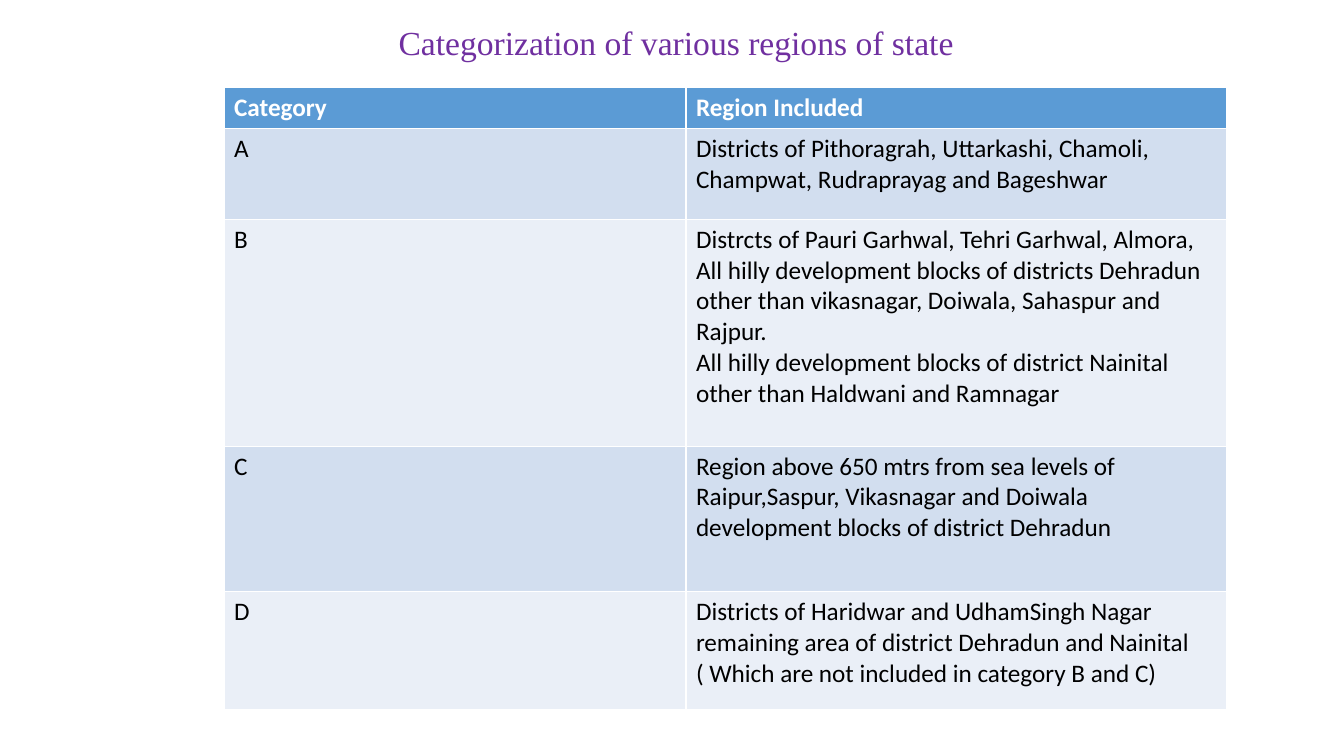
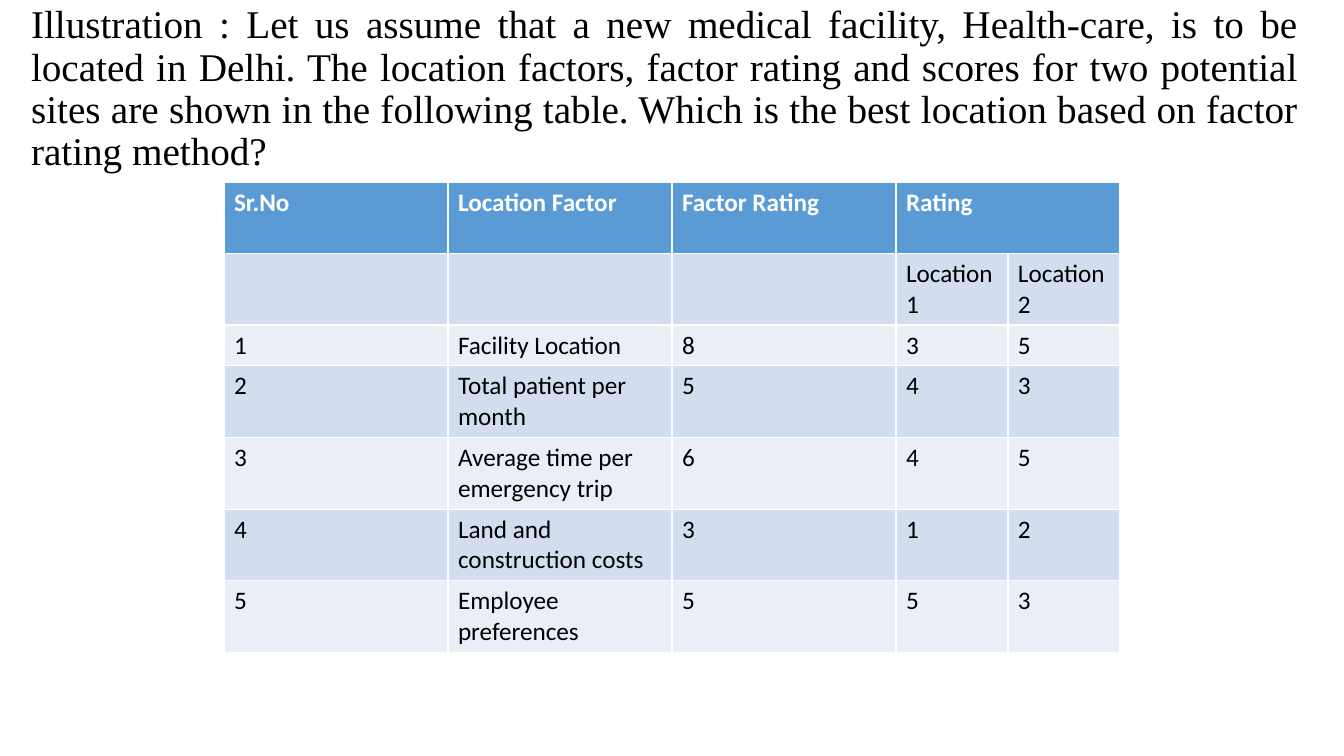
from pptx import Presentation
from pptx.dml.color import RGBColor
from pptx.enum import text
from pptx.oxml import xmlchemy
from pptx.util import Pt

HEADER_FILL = "5B9BD5"
BAND_FILLS = ("EAEFF7", "D2DEEF")
WHITE, BLACK, PURPLE = "FFFFFF", "000000", "7030A0"
TABLE_LEFT = 160


def color(value):
    return RGBColor.from_string(value)


class Deck:
    heading_font = "Times New Roman"
    table_font = "Calibri"
    table_size = 18

    def __init__(self):
        self.deck = Presentation()
        self.deck.slide_width = Pt(960)
        self.deck.slide_height = Pt(540)
        self.page = None

    def add_page(self):
        self.page = self.deck.slides.add_slide(self.deck.slide_layouts[1])
        title = self.page.shapes.title.element
        title.getparent().remove(title)

    def style(self, paragraph, font, size, value, bold=False):
        for span in paragraph.runs:
            span.font.name = font
            span.font.size = Pt(size)
            span.font.bold = bold
            span.font.color.rgb = color(value)

    def body(self, bounds, content, size, value, alignment):
        box = self.page.placeholders[1]
        box.left, box.top, box.width, box.height = map(Pt, bounds)
        frame = box.text_frame
        frame.text = content
        frame.word_wrap = True
        frame.auto_size = text.MSO_AUTO_SIZE.NONE
        frame.vertical_anchor = text.MSO_ANCHOR.TOP
        paragraph = frame.paragraphs[0]
        properties = paragraph._p.get_or_add_pPr()
        properties.set("marL", "0")
        properties.set("indent", "0")
        properties.append(xmlchemy.OxmlElement("a:buNone"))
        paragraph.alignment = alignment
        paragraph.line_spacing = 0.9
        paragraph.space_before = Pt(0)
        self.style(paragraph, self.heading_font, size, value)

    def table(self, top, widths, heights, rows):
        frame = self.page.shapes.add_table(
            len(rows), len(widths), Pt(TABLE_LEFT), Pt(top), Pt(sum(widths)), Pt(sum(heights)))
        table = frame.table
        for column, width in zip(table.columns, widths):
            column.width = Pt(width)
        for index, (row, height, values) in enumerate(zip(table.rows, heights, rows)):
            row.height = Pt(height)
            header = index == 0
            fill = HEADER_FILL if header else BAND_FILLS[index % 2]
            for cell, value in zip(row.cells, values):
                cell.text = value
                cell.fill.solid()
                cell.fill.fore_color.rgb = color(fill)
                for paragraph in cell.text_frame.paragraphs:
                    paragraph.font.size = Pt(self.table_size)
                    self.style(paragraph, self.table_font, self.table_size,
                               WHITE if header else BLACK, header)
        return table

    def save(self):
        self.deck.save("out.pptx")


def regions_page(deck):
    deck.add_page()
    deck.body((23, 15, 920, 507), "Categorization of various regions of state",
              24, PURPLE, text.PP_ALIGN.CENTER)
    deck.table(62.5, (330, 386), (29.2, 65, 162, 104, 84.5), [
        ("Category", "Region Included"),
        ("A", "Districts of Pithoragrah, Uttarkashi, Chamoli, Champwat, "
              "Rudraprayag and Bageshwar"),
        ("B", "Distrcts of Pauri Garhwal, Tehri Garhwal, Almora,\n"
              "All hilly development blocks of districts Dehradun other than "
              "vikasnagar, Doiwala, Sahaspur and Rajpur.\n"
              "All hilly development blocks of district Nainital other than "
              "Haldwani and Ramnagar"),
        ("C", "Region above 650 mtrs from sea levels of Raipur,Saspur, Vikasnagar "
              "and Doiwala development blocks of district Dehradun"),
        ("D", "Districts of Haridwar and UdhamSingh Nagar remaining area of district "
              "Dehradun and Nainital ( Which are not included in category B and C)"),
    ])


def illustration_page(deck):
    deck.add_page()
    deck.body((15, 0, 919.5, 528),
              "Illustration : Let us assume that a new medical facility, Health-care, "
              "is to be located in Delhi. The location factors, factor rating and scores "
              "for two potential sites are shown in the following table. Which is the best "
              "location based on factor rating method?",
              28, BLACK, text.PP_ALIGN.JUSTIFY)
    tall, short = 51, 29.2
    table = deck.table(130, (160, 160, 160, 80, 80), (tall, tall, short) + (tall,) * 4, [
        ("Sr.No", "Location Factor", "Factor Rating", "Rating", ""),
        ("", "", "", "Location 1", "Location 2"),
        ("1", "Facility Location", "8", "3", "5"),
        ("2", "Total patient per month", "5", "4", "3"),
        ("3", "Average time per emergency trip", "6", "4", "5"),
        ("4", "Land and construction costs", "3", "1", "2"),
        ("5", "Employee preferences", "5", "5", "3"),
    ])
    table.cell(0, 3).merge(table.cell(0, 4))


def main():
    deck = Deck()
    regions_page(deck)
    illustration_page(deck)
    deck.save()


if __name__ == "__main__":
    main()
